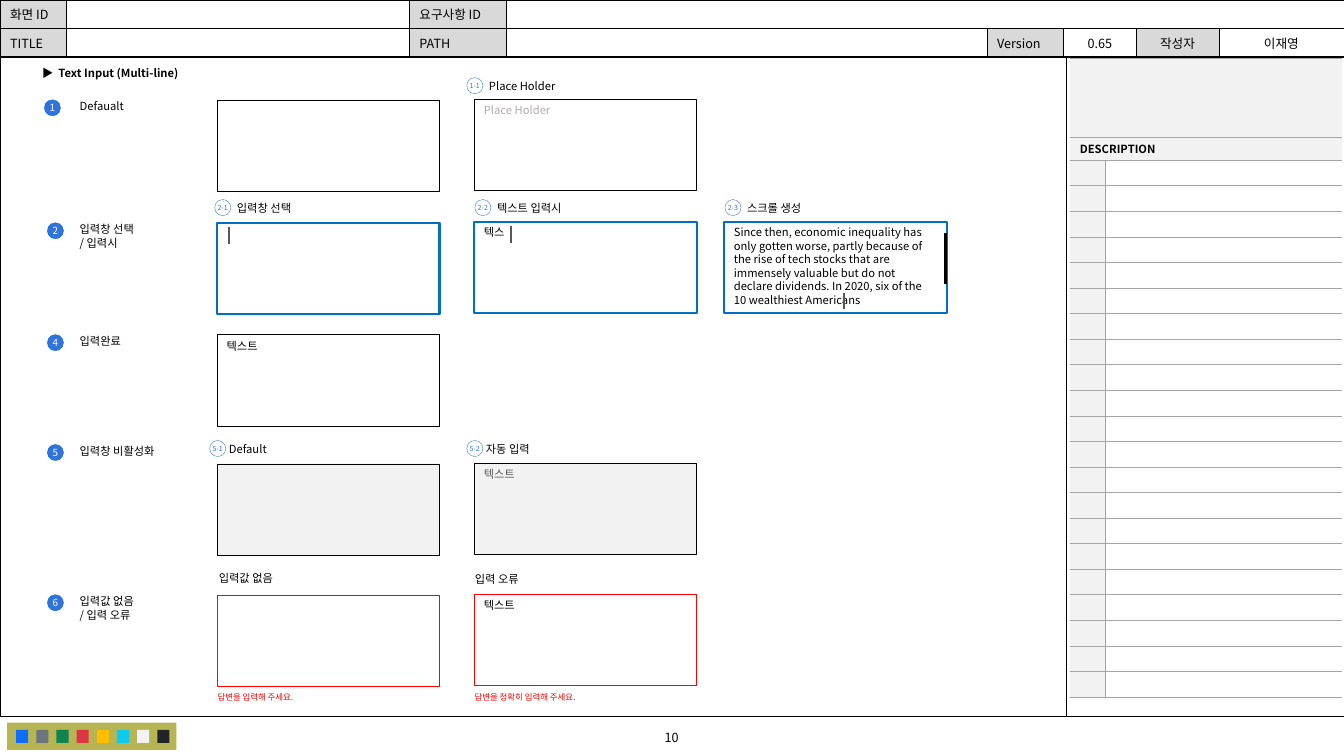
import pptx
import pptx.util
import pptx.dml.color
import pptx.enum.shapes
import pptx.enum.text
import pptx.oxml.ns
import lxml.etree

Inches = pptx.util.Inches
Pt = pptx.util.Pt
SHAPES = pptx.enum.shapes.MSO_SHAPE
ALIGN = pptx.enum.text.PP_ALIGN
ANCHOR = pptx.enum.text.MSO_ANCHOR

FONT = "Noto Sans CJK KR"
WIDTH, HEIGHT = 13.33, 7.5
COLORS = {
    "black": "000000", "white": "FFFFFF", "label": "D9D9D9", "pale": "F2F2F2",
    "rule": "A6A6A6", "hint": "AFABAB", "dim": "595959", "focus": "0070C0",
    "badge": "3272DE", "error": "FF0000", "olive": "B7B553",
}
PALETTE = ["0D6EFD", "6C757D", "10834E", "DC3545", "FFBE00", "0DCAF0", "F2F2F2", "212529"]
NO_TABLE_STYLE = "{2D5ABB26-0587-4C30-8999-92F81FD0307C}"

# Grid of the input fields, in inches; columns after the first sit a little higher
FIELD_COLUMNS = [2.15, 4.7, 7.18]
FIELD_ROWS = [0.99, 2.21, 3.32, 4.6, 5.9]
COLUMN_LIFT = 0.01
FIELD_WIDTH, FIELD_HEIGHT = 2.21, 0.91
BADGE_SIZE = 0.16
LABEL_LEFT = 0.79

HEADER_COLUMNS = [0.66, 3.4, 0.96, 4.77, 0.76, 0.72, 0.82, 1.24]
HEADER_ROWS = [
    ["화면 ID", "", "요구사항 ID", "", "", "", "", ""],
    ["TITLE", "", "PATH", "", "Version", "0.65", "작성자", "이재영"],
]
DESCRIPTION_ROWS = 21
DESCRIPTION_HEIGHTS = [0.78, 0.23] + [(6.34 - 0.78 - 0.23) / DESCRIPTION_ROWS] * DESCRIPTION_ROWS

# Row number, badge, label lines, badge left
STATES = [
    (0, "1", ["Defaualt"], 0.44),
    (1, "2", ["입력창 선택", "/ 입력시"], 0.47),
    (2, "4", ["입력완료"], 0.47),
    (3, "5", ["입력창 비활성화"], 0.47),
    (4, "6", ["입력값 없음", "/ 입력 오류"], 0.47),
]
# Column, row, text, format
FOCUSED = {"line": "focus", "weight": 1.5}
FIELDS = [
    (0, 0, "", {}),
    (1, 0, "Place Holder", {"color": "hint"}),
    (0, 1, "", FOCUSED),
    (1, 1, "텍스", FOCUSED),
    (2, 1, "Since then, economic inequality has only gotten worse, partly because of the rise of "
           "tech stocks that are immensely valuable but do not declare dividends. In 2020, six of "
           "the 10 wealthiest Americans", FOCUSED),
    (0, 2, "텍스트", {}),
    (0, 3, "", {"fill": "pale"}),
    (1, 3, "텍스트", {"fill": "pale", "color": "dim"}),
    (0, 4, "", {"line": "error"}),
    (1, 4, "텍스트", {"line": "error"}),
]
# Caption, left, top, badge, badge left
CAPTIONS = [
    ("Place Holder", 4.85, 0.79, "1-1", 4.63),
    ("입력창 선택", 2.35, 2, "2-1", 2.13),
    ("텍스트 입력시", 4.93, 2, "2-2", 4.71),
    ("스크롤 생성", 7.41, 2, "2-3", 7.19),
    ("Default", 2.27, 4.39, "5-1", 2.08),
    ("자동 입력", 4.82, 4.39, "5-2", 4.63),
    ("입력값 없음", 2.17, 5.67, "", 0),
    ("입력 오류", 4.71, 5.68, "", 0),
]
# Left, top, bottom, colour, weight
STROKES = [
    (5.07, 2.24, 2.41, "dim", 1),
    (2.27, 2.25, 2.42, "dim", 1),
    (8.37, 2.91, 3.07, "dim", 1),
    (9.38, 2.31, 2.82, "black", 2.25),
]


def rgb(color):
    return pptx.dml.color.RGBColor.from_string(COLORS.get(color, color))


def write(frame, lines, size=8, color="black", bold=False, align=ALIGN.LEFT,
          insets=(0.1, 0.05), wrap=True, anchor=ANCHOR.TOP):
    across, down = (Inches(inset) for inset in insets)
    frame_format = {"margin_left": across, "margin_right": across, "margin_top": down,
                    "margin_bottom": down, "word_wrap": wrap, "vertical_anchor": anchor}
    for name, value in frame_format.items():
        setattr(frame, name, value)
    for index, line in enumerate(lines):
        paragraph = frame.paragraphs[0] if index == 0 else frame.add_paragraph()
        paragraph.alignment = align
        run = paragraph.add_run()
        run.text = line
        for name, value in {"size": Pt(size), "bold": bold, "name": FONT}.items():
            setattr(run.font, name, value)
        run.font.color.rgb = rgb(color)
        east_asian = lxml.etree.SubElement(run.font._element, pptx.oxml.ns.qn("a:ea"))
        east_asian.set("typeface", FONT)


def add_text(slide, box, lines, **text_format):
    shape = slide.shapes.add_textbox(*map(Inches, box))
    write(shape.text_frame, lines, **text_format)


def add_box(slide, box, fill=None, line=None, weight=0.25, kind=SHAPES.RECTANGLE):
    shape = slide.shapes.add_shape(kind, *map(Inches, box))
    shape.shadow.inherit = False
    for part, color in ((shape.fill, fill), (shape.line.fill, line)):
        if color:
            part.solid()
            part.fore_color.rgb = rgb(color)
        else:
            part.background()
    if line:
        shape.line.width = Pt(weight)
    return shape


def add_badge(slide, left, top, text, fill, line, color, size):
    shape = add_box(slide, (left, top, BADGE_SIZE, BADGE_SIZE), fill, line, kind=SHAPES.OVAL)
    write(shape.text_frame, [text], size=size, color=color, align=ALIGN.CENTER,
          insets=(0, 0.05), wrap=False, anchor=ANCHOR.MIDDLE)


def add_vertical(slide, left, top, bottom, color, weight):
    line = slide.shapes.add_connector(pptx.enum.shapes.MSO_CONNECTOR.STRAIGHT,
                                      *map(Inches, (left, top, left, bottom)))
    line.line.color.rgb = rgb(color)
    line.line.width = Pt(weight)
    lxml.etree.SubElement(line._element.spPr, pptx.oxml.ns.qn("a:effectLst"))


def add_plain_table(slide, left, top, columns, rows):
    """Add a table without a style, with the given column widths and row heights."""
    box = map(Inches, (left, top, sum(columns), sum(rows)))
    table = slide.shapes.add_table(len(rows), len(columns), *box).table
    table._tbl.tblPr.find(pptx.oxml.ns.qn("a:tableStyleId")).text = NO_TABLE_STYLE
    table.first_row = table.horz_banding = False
    for column, width in zip(table.columns, columns):
        column.width = Inches(width)
    for row, height in zip(table.rows, rows):
        row.height = Inches(height)
    return table


def set_cell(cell, text, fill, sides, border, size, insets=(0.1, 0.05), anchor=ANCHOR.TOP,
             **text_format):
    """Fill a cell and draw its borders on the sides named by L, R, T and B."""
    qn = pptx.oxml.ns.qn
    write(cell.text_frame, [text] if text else [], size=size, **text_format)
    cell.margin_left = cell.margin_right = Inches(insets[0])
    cell.margin_top = cell.margin_bottom = Inches(insets[1])
    cell.vertical_anchor = anchor
    if not text:
        end = lxml.etree.SubElement(cell.text_frame.paragraphs[0]._p, qn("a:endParaRPr"))
        end.set("sz", str(size * 100))
    properties = cell._tc.get_or_add_tcPr()
    for side in sides:
        edge = lxml.etree.SubElement(properties, qn("a:ln" + side), w=str(Pt(0.5)))
        solid = lxml.etree.SubElement(edge, qn("a:solidFill"))
        lxml.etree.SubElement(solid, qn("a:srgbClr"), val=COLORS[border])
    if fill:
        cell.fill.solid()
        cell.fill.fore_color.rgb = rgb(fill)


def add_header(slide):
    table = add_plain_table(slide, 0, 0, HEADER_COLUMNS, [0.28, 0.28])
    table.cell(0, 3).merge(table.cell(0, 7))
    for row, texts in enumerate(HEADER_ROWS):
        for column, text in enumerate(texts):
            is_label = text and column in (0, 2, 4, 6)
            set_cell(table.cell(row, column), text, "label" if is_label else "white", "LRTB",
                     "black", 9, align=ALIGN.CENTER if column > 4 else ALIGN.LEFT)


def add_description(slide):
    table = add_plain_table(slide, 10.61, 0.58, [0.35, 2.35], DESCRIPTION_HEIGHTS)
    for row in range(len(DESCRIPTION_HEIGHTS)):
        is_heading = row < 2
        if is_heading:
            table.cell(row, 0).merge(table.cell(row, 1))
        for column in range(2):
            text = "DESCRIPTION" if (row, column) == (1, 0) else ""
            sides = "LTB" if column and not is_heading else "TB"
            set_cell(table.cell(row, column), text, "pale" if is_heading or column == 0 else None,
                     sides, "rule", 8 if text else 6, bold=True, insets=(0.1, 0.02),
                     anchor=ANCHOR.MIDDLE)


def add_page_frame(slide):
    add_header(slide)
    add_box(slide, (0, 0.56, WIDTH, 6.55), line="black")
    add_vertical(slide, 10.58, 0.56, 7.11, "black", 0.5)
    add_text(slide, (5.37, 7.19, 2.58, 0.25), ["10"], size=9, align=ALIGN.CENTER)
    add_box(slide, (0.07, 7.17, 1.68, 0.27), "olive")
    for index, color in enumerate(PALETTE):
        add_box(slide, (0.16 + 0.2 * index, 7.24, 0.12, 0.13), color)


def add_field(slide, column, row, text, line="black", weight=0.25, fill="white", **text_format):
    top = FIELD_ROWS[row] - (COLUMN_LIFT if column else 0)
    box = (FIELD_COLUMNS[column], top, FIELD_WIDTH, FIELD_HEIGHT)
    shape = add_box(slide, box, fill, line, weight)
    if text:
        write(shape.text_frame, [text], insets=(0.1, 0.04 if weight > 1 else 0.05), **text_format)


def main():
    presentation = pptx.Presentation()
    presentation.slide_width, presentation.slide_height = Inches(WIDTH), Inches(HEIGHT)
    slide = presentation.slides.add_slide(presentation.slide_layouts[6])
    add_page_frame(slide)
    add_description(slide)
    add_text(slide, (0.32, 0.61, 3.26, 0.24), ["▶  Text Input (Multi-line)"], bold=True)
    for column, row, text, field_format in FIELDS:
        add_field(slide, column, row, text, **field_format)
    for row, number, lines, left in STATES:
        top = 4.41 if row == 3 else FIELD_ROWS[row]
        add_badge(slide, left, top, number, "badge", "focus", "white", 7)
        add_text(slide, (LABEL_LEFT, top, 0.85, 0.13 * len(lines)), lines, insets=(0, 0), wrap=False)
    for text, left, top, number, badge_left in CAPTIONS:
        add_text(slide, (left, top, 0.67, 0.13), [text], insets=(0, 0), wrap=False)
        if number:
            add_badge(slide, badge_left, top - 0.02, number, "white", "badge", "badge", 5)
    for stroke in STROKES:
        add_vertical(slide, *stroke)
    for column, text in enumerate(["답변을 입력해 주세요.", "답변을 정확히 입력해 주세요."]):
        add_text(slide, (FIELD_COLUMNS[column] - 0.09, 6.82, 1.64, 0.2), [text], size=6, color="error")
    presentation.save("out.pptx")


if __name__ == "__main__":
    main()
